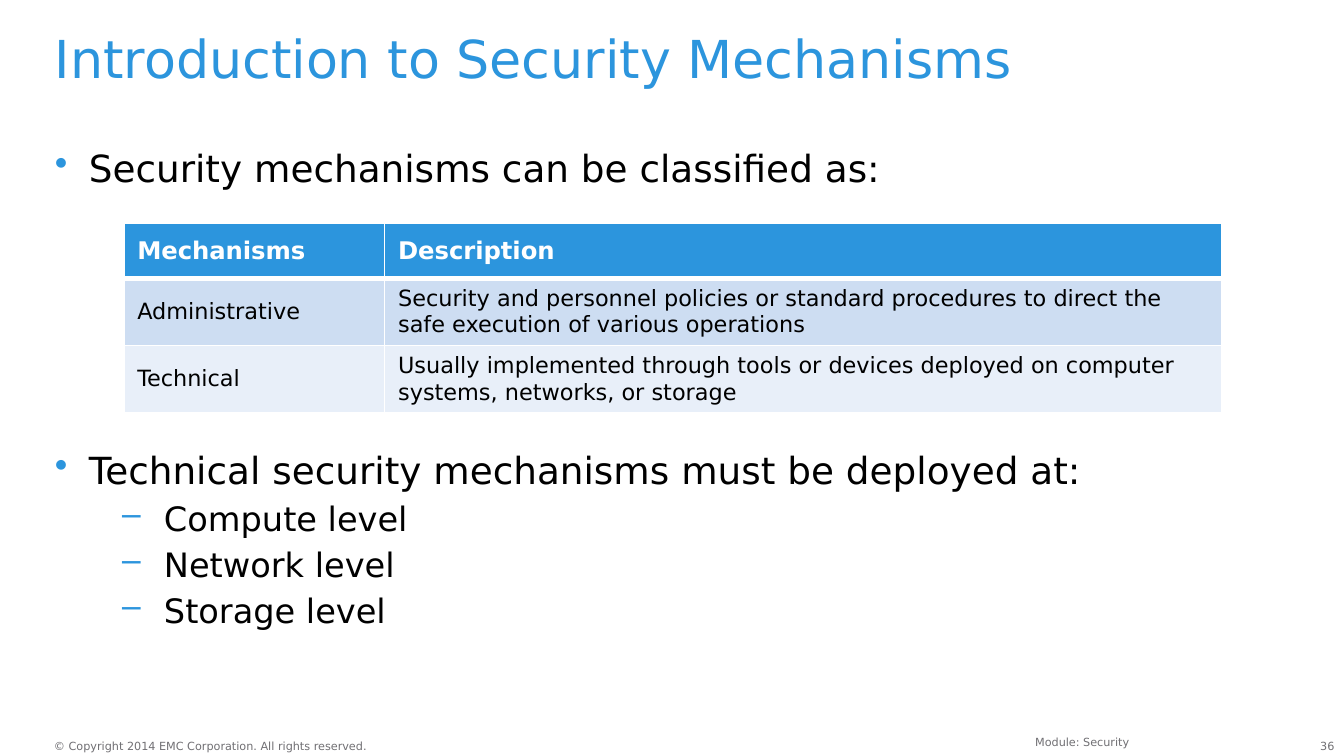
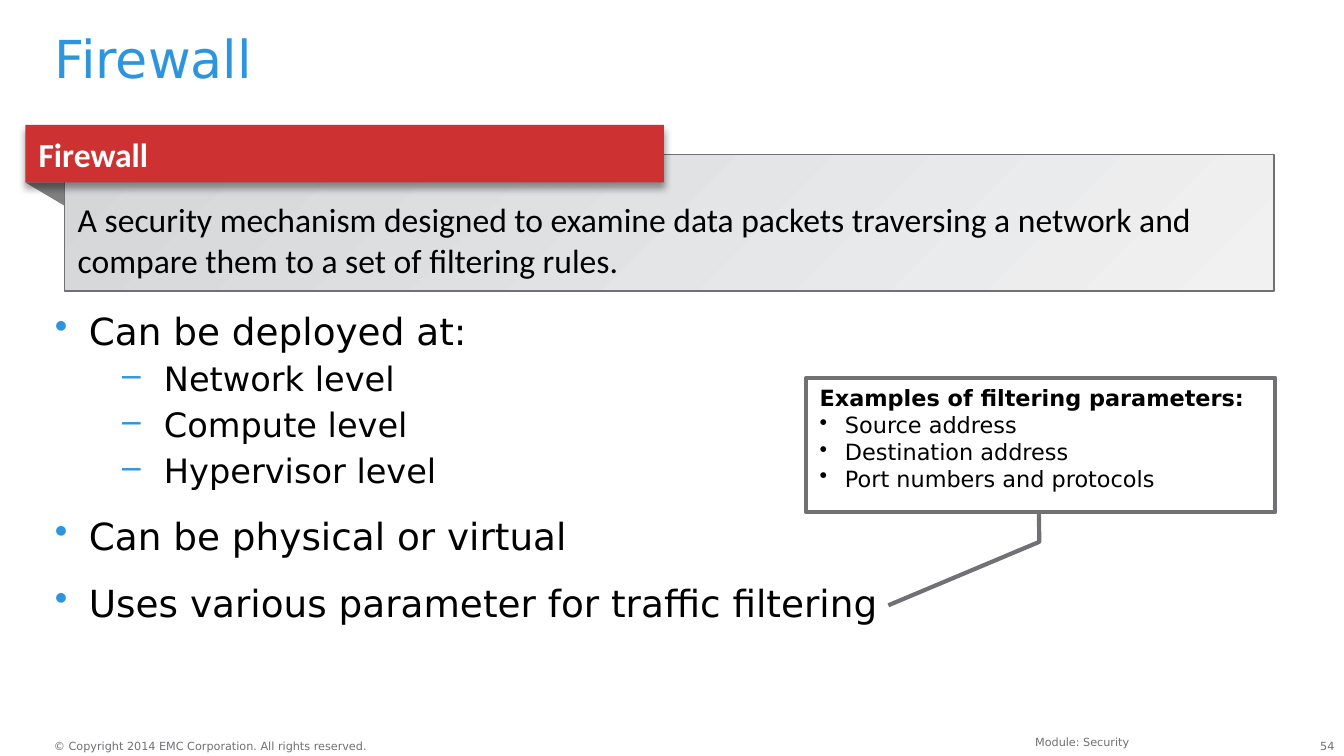
"""Build two training slides about security mechanisms and firewalls."""
from lxml.etree import SubElement
from pptx import Presentation
from pptx.dml.color import RGBColor
from pptx.enum.shapes import MSO_SHAPE as Preset
from pptx.enum.text import MSO_ANCHOR as Anchor, PP_ALIGN as Align
from pptx.oxml.ns import qn
from pptx.util import Cm, Pt

BLUE, RED, GRAY, FOLD = "2C95DD", "CE3131", "717074", "808080"
BLACK, WHITE = "000000", "FFFFFF"
PANEL_COLORS = "D4D6D8", "F1F1F2"
ROW_FILLS = BLUE, "CDDDF2", "E8EFF9"
SANS, CALIBRI = "DejaVu Sans", "Calibri"

COPYRIGHT = "© Copyright 2014 EMC Corporation. All rights reserved."
MODULE = "Module: Security"

POINT = dict(size=20, bullet="•", bullet_color=BLUE, indent=0.64, before=12)
SUBPOINT = dict(size=18, bullet="–", bullet_color=BLUE, left=2.06, indent=0.79, before=3)
AFTER_TABLE = POINT | dict(before=138)
EXAMPLE = dict(size=12, bullet="•", bullet_color=BLACK, indent=0.48)

MECHANISM_POINTS = [
    ("Security mechanisms can be classified as:", POINT),
    ("Technical security mechanisms must be deployed at:", AFTER_TABLE),
    ("Compute level", SUBPOINT),
    ("Network level", SUBPOINT),
    ("Storage level", SUBPOINT),
]
MECHANISM_ROWS = [
    ("Mechanisms", "Description"),
    ("Administrative", "Security and personnel policies or standard procedures "
     "to direct the safe execution of various operations"),
    ("Technical", "Usually implemented through tools or devices deployed on "
     "computer systems, networks, or storage"),
]
COLUMN_WIDTHS = 4.93, 15.82
ROW_HEIGHTS = 1.04, 1.24, 1.24

DEFINITION = ("A security mechanism designed to examine data packets traversing "
              "a network and compare them to a set of filtering rules.")
FIREWALL_POINTS = [
    ("Can be deployed at:", POINT),
    ("Network level", SUBPOINT),
    ("Compute level", SUBPOINT),
    ("Hypervisor level", SUBPOINT),
    ("Can be physical or virtual", POINT),
    ("Uses various parameter for traffic filtering", POINT),
]
FILTER_EXAMPLES = [
    ("Examples of filtering parameters:", dict(size=12, bold=True)),
    ("Source address", EXAMPLE),
    ("Destination address", EXAMPLE),
    ("Port numbers and protocols", EXAMPLE),
]
BAND = 0.48, 2.36, 12.07, 1.09
PANEL = 1.22, 2.92, 22.86, 2.59
FOLD_DEPTH = 0.44
CALLOUT = 15.24, 7.14, 8.86, 2.54
CALLOUT_LEADER = 1, 0.496, 1.222, 0.497, 1.694, 0.175


def rgb(color):
    return RGBColor.from_string(color)


def add_solid(parent, tag, color):
    fill = SubElement(parent, qn(tag))
    return SubElement(fill, qn("a:srgbClr"), val=color)


def format_paragraph(paragraph, text, size=12, color=BLACK, font=SANS, bold=False,
                     align=Align.LEFT, before=0, spacing=None, bullet=None,
                     bullet_color=BLACK, indent=0, left=None):
    paragraph.alignment = align
    paragraph.space_before = Pt(before)
    if spacing:
        paragraph.line_spacing = spacing
    if bullet:
        properties = paragraph._p.get_or_add_pPr()
        properties.set("marL", str(Cm(indent if left is None else left)))
        properties.set("indent", str(-Cm(indent)))
        add_solid(properties, "a:buClr", bullet_color).getparent()
        SubElement(properties, qn("a:buChar"), char=bullet)
    run = paragraph.add_run()
    run.text = text
    run.font.size, run.font.name, run.font.bold = Pt(size), font, bold
    run.font.color.rgb = rgb(color)


def fill_frame(frame, paragraphs, margins=(0.25, 0.13, 0.25, 0.13),
               anchor=Anchor.TOP, wrap=True):
    frame.word_wrap = wrap
    frame.vertical_anchor = anchor
    (frame.margin_left, frame.margin_top,
     frame.margin_right, frame.margin_bottom) = map(Cm, margins)
    for index, (text, style) in enumerate(paragraphs):
        paragraph = frame.add_paragraph() if index else frame.paragraphs[0]
        format_paragraph(paragraph, text, **(style if index else style | dict(before=0)))


def add_text(slide, box, paragraphs, margins=(0, 0, 0, 0), wrap=True):
    shape = slide.shapes.add_textbox(*map(Cm, box))
    fill_frame(shape.text_frame, paragraphs, margins, wrap=wrap)


def style_shape(shape, fill=None, line=None, width=1):
    shape.shadow.inherit = False
    if fill:
        shape.fill.solid()
        shape.fill.fore_color.rgb = rgb(fill)
    else:
        shape.fill.background()
    if line:
        shape.line.color.rgb = rgb(line)
        shape.line.width = Pt(width)
    else:
        shape.line.fill.background()
    return shape


def add_preset(slide, preset, box, **style):
    return style_shape(slide.shapes.add_shape(preset, *map(Cm, box)), **style)


def add_drop_shadow(shape):
    effects = shape._element.spPr.find(qn("a:effectLst"))
    shadow = SubElement(effects, qn("a:outerShdw"), blurRad=str(Pt(4)),
                        dist=str(Pt(3)), dir="5400000", rotWithShape="0")
    SubElement(SubElement(shadow, qn("a:srgbClr"), val=BLACK),
               qn("a:alpha"), val="40000")


def add_slide(presentation, title, number, points, points_top):
    slide = presentation.slides.add_slide(presentation.slide_layouts[6])
    footer = dict(size=6, color=GRAY)
    right_footer = footer | dict(align=Align.RIGHT)
    add_text(slide, (24.43, 13.97, 0.79, 0.25), [(number, right_footer)])
    add_text(slide, (1.02, 13.97, 6.02, 0.25), [(COPYRIGHT, footer)], wrap=False)
    add_text(slide, (7.19, 13.77, 14.4, 0.38), [(MODULE, right_footer)],
             margins=(0.25, 0.13, 0.25, 0.13))
    add_text(slide, (1.04, 0.64, 23.5, 1.27),
             [(title, dict(size=28, color=BLUE, spacing=0.9))])
    add_text(slide, (1.04, points_top, 23.5, 12.24 - points_top), points)
    return slide


def border_cell(cell, is_header):
    properties = cell._tc.get_or_add_tcPr()
    for side in "LRTB":
        width = 3 if is_header and side == "B" else 1
        line = SubElement(properties, qn(f"a:ln{side}"), w=str(Pt(width)))
        add_solid(line, "a:solidFill", WHITE)


def add_mechanism_table(slide):
    frame = slide.shapes.add_table(len(ROW_HEIGHTS), len(COLUMN_WIDTHS), Cm(2.34), Cm(4.22),
                                   Cm(sum(COLUMN_WIDTHS)), Cm(sum(ROW_HEIGHTS)))
    table = frame.table
    for column, width in zip(table.columns, COLUMN_WIDTHS):
        column.width = Cm(width)
    header = dict(size=13, color=WHITE, bold=True)
    for index, (texts, height, fill) in enumerate(zip(MECHANISM_ROWS, ROW_HEIGHTS, ROW_FILLS)):
        table.rows[index].height = Cm(height)
        for cell, text in zip(table.rows[index].cells, texts):
            border_cell(cell, index == 0)
            cell.fill.solid()
            cell.fill.fore_color.rgb = rgb(fill)
            cell.vertical_anchor = Anchor.MIDDLE
            format_paragraph(cell.text_frame.paragraphs[0], text,
                             **({} if index else header))


def add_definition(slide):
    left, top, _, height = BAND
    bottom, panel_left = top + height, PANEL[0]
    builder = slide.shapes.build_freeform(Cm(left), Cm(bottom))
    builder.add_line_segments([(Cm(panel_left), Cm(bottom)),
                               (Cm(panel_left), Cm(bottom + FOLD_DEPTH))])
    style_shape(builder.convert_to_shape(), fill=FOLD)

    panel = add_preset(slide, Preset.RECTANGLE, PANEL, line=GRAY)
    panel.fill.gradient()
    panel.fill.gradient_angle = 315
    for stop, color in zip(panel.fill.gradient_stops, PANEL_COLORS):
        stop.color.rgb = rgb(color)
    fill_frame(panel.text_frame, [(DEFINITION, dict(size=18, font=CALIBRI))],
               margins=(0.25, 0.76, 0.25, 0.13), anchor=Anchor.MIDDLE)

    band = add_preset(slide, Preset.RECTANGLE, BAND, fill=RED)
    add_drop_shadow(band)
    label = dict(size=18, font=CALIBRI, color=WHITE, bold=True)
    fill_frame(band.text_frame, [("Firewall", label)], anchor=Anchor.MIDDLE)


def add_filter_callout(slide):
    callout = add_preset(slide, Preset.LINE_CALLOUT_2, CALLOUT, line=GRAY, width=2.25)
    for index, value in enumerate(CALLOUT_LEADER):
        callout.adjustments[index] = value
    fill_frame(callout.text_frame, FILTER_EXAMPLES)


def main():
    presentation = Presentation()
    presentation.slide_width, presentation.slide_height = Cm(25.4), Cm(14.29)
    mechanisms = add_slide(presentation, "Introduction to Security Mechanisms", "36",
                           MECHANISM_POINTS, 2.74)
    add_mechanism_table(mechanisms)
    firewall = add_slide(presentation, "Firewall", "54", FIREWALL_POINTS, 5.82)
    add_definition(firewall)
    add_filter_callout(firewall)
    presentation.save("out.pptx")


if __name__ == "__main__":
    main()
